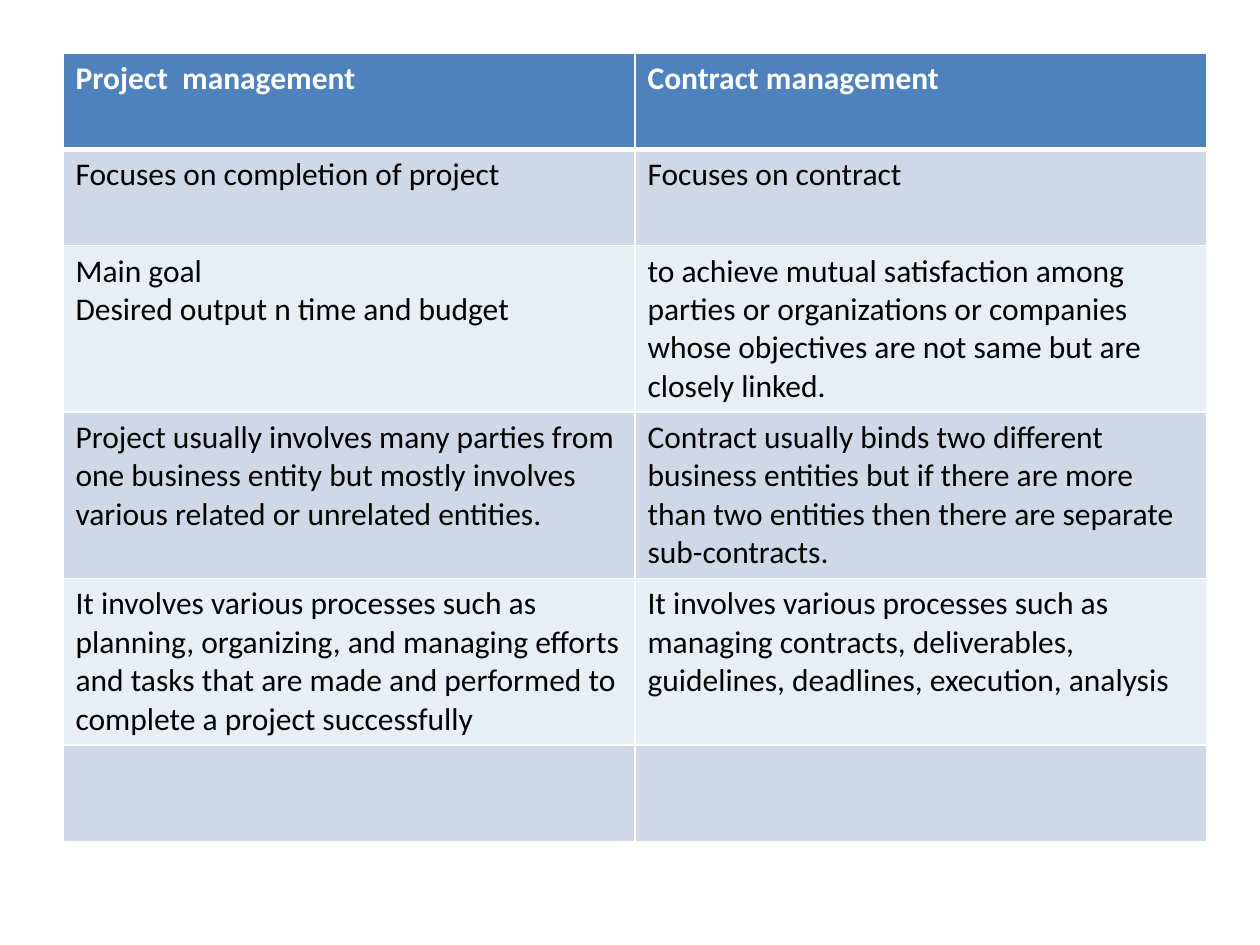
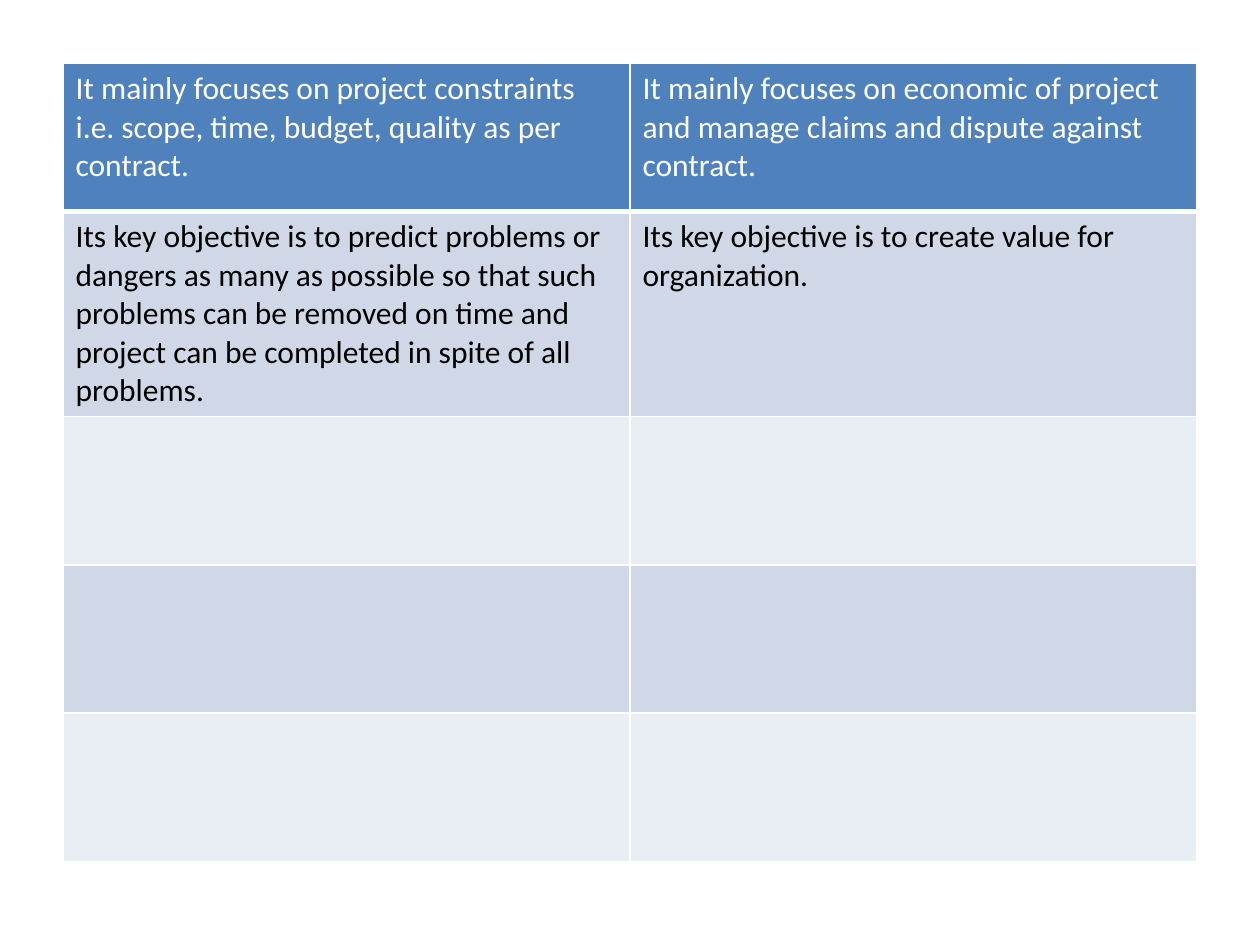
import pptx
import pptx.dml.color
import pptx.oxml.ns
import pptx.util
from lxml import etree

HEADER = pptx.dml.color.RGBColor(0x4F, 0x81, 0xBD)
BAND_DARK = pptx.dml.color.RGBColor(0xD0, 0xD8, 0xE8)
BAND_LIGHT = pptx.dml.color.RGBColor(0xE9, 0xED, 0xF4)
WHITE = pptx.dml.color.RGBColor(0xFF, 0xFF, 0xFF)
BLACK = pptx.dml.color.RGBColor(0x00, 0x00, 0x00)
FONT = "Calibri"
TEXT_SIZE = pptx.util.Pt(18)
THIN = pptx.util.Pt(1)
THICK = pptx.util.Pt(3)
SLIDE_W = pptx.util.Inches(10)
SLIDE_H = pptx.util.Inches(7.5)

MANAGEMENT_ROWS = [
    ("Project  management", "Contract management"),
    ("Focuses on completion of project", "Focuses on contract"),
    ("Main goal\nDesired output n time and budget",
     "to achieve mutual satisfaction among parties or organizations or companies "
     "whose objectives are not same but are closely linked."),
    ("Project usually involves many parties from one business entity but mostly "
     "involves various related or unrelated entities.",
     "Contract usually binds two different business entities but if there are more "
     "than two entities then there are separate sub-contracts."),
    ("It involves various processes such as planning, organizing, and managing "
     "efforts and tasks that are made and performed to complete a project successfully",
     "It involves various processes such as managing contracts, deliverables, "
     "guidelines, deadlines, execution, analysis"),
    ("", ""),
]
OBJECTIVE_ROWS = [
    ("It mainly focuses on project constraints i.e. scope, time, budget, quality "
     "as per contract.",
     "It mainly focuses on economic of project and manage claims and dispute "
     "against contract."),
    ("Its key objective is to predict problems or dangers as many as possible so "
     "that such problems can be removed on time and project can be completed in "
     "spite of all problems.",
     "Its key objective is to create value for organization."),
    ("", ""),
    ("", ""),
    ("", ""),
]


def set_borders(cell, top, bottom):
    qn = pptx.oxml.ns.qn
    tc_pr = cell._tc.get_or_add_tcPr()
    for side, width in (("L", THIN), ("R", THIN), ("T", top), ("B", bottom)):
        ln = etree.SubElement(tc_pr, qn(f"a:ln{side}"), w=str(int(width)))
        fill = etree.SubElement(ln, qn("a:solidFill"))
        etree.SubElement(fill, qn("a:srgbClr"), val=str(WHITE))


def style_cell(cell, row, text, bold_header):
    is_header = row == 0
    set_borders(cell, THICK if row == 1 else THIN, THICK if is_header else THIN)
    cell.fill.solid()
    band = BAND_DARK if row % 2 else BAND_LIGHT
    cell.fill.fore_color.rgb = HEADER if is_header else band
    cell.text_frame.text = text
    for p in cell.text_frame.paragraphs:
        p.font.size = TEXT_SIZE
        for r in p.runs:
            r.font.name = FONT
            r.font.size = TEXT_SIZE
            r.font.bold = is_header and bold_header
            r.font.color.rgb = WHITE if is_header else BLACK


def add_comparison_slide(prs, rows, box, row_share, bold_header):
    slide = prs.slides.add_slide(prs.slide_layouts[6])
    left, top, width = box
    row_height = int(SLIDE_H * row_share)
    table_width = int(SLIDE_W * width)
    table = slide.shapes.add_table(
        len(rows), len(rows[0]), int(SLIDE_W * left), int(SLIDE_H * top),
        table_width, row_height * len(rows)).table
    for column in table.columns:
        column.width = table_width // len(rows[0])
    for i, texts in enumerate(rows):
        table.rows[i].height = row_height
        for j, text in enumerate(texts):
            style_cell(table.cell(i, j), i, text, bold_header)


def main():
    prs = pptx.Presentation()
    prs.slide_width = SLIDE_W
    prs.slide_height = SLIDE_H
    add_comparison_slide(prs, MANAGEMENT_ROWS, (0.05, 0.056, 0.908), 0.102, True)
    add_comparison_slide(prs, OBJECTIVE_ROWS, (0.05, 0.067, 0.9), 0.157, False)
    prs.save("out.pptx")


if __name__ == "__main__":
    main()
